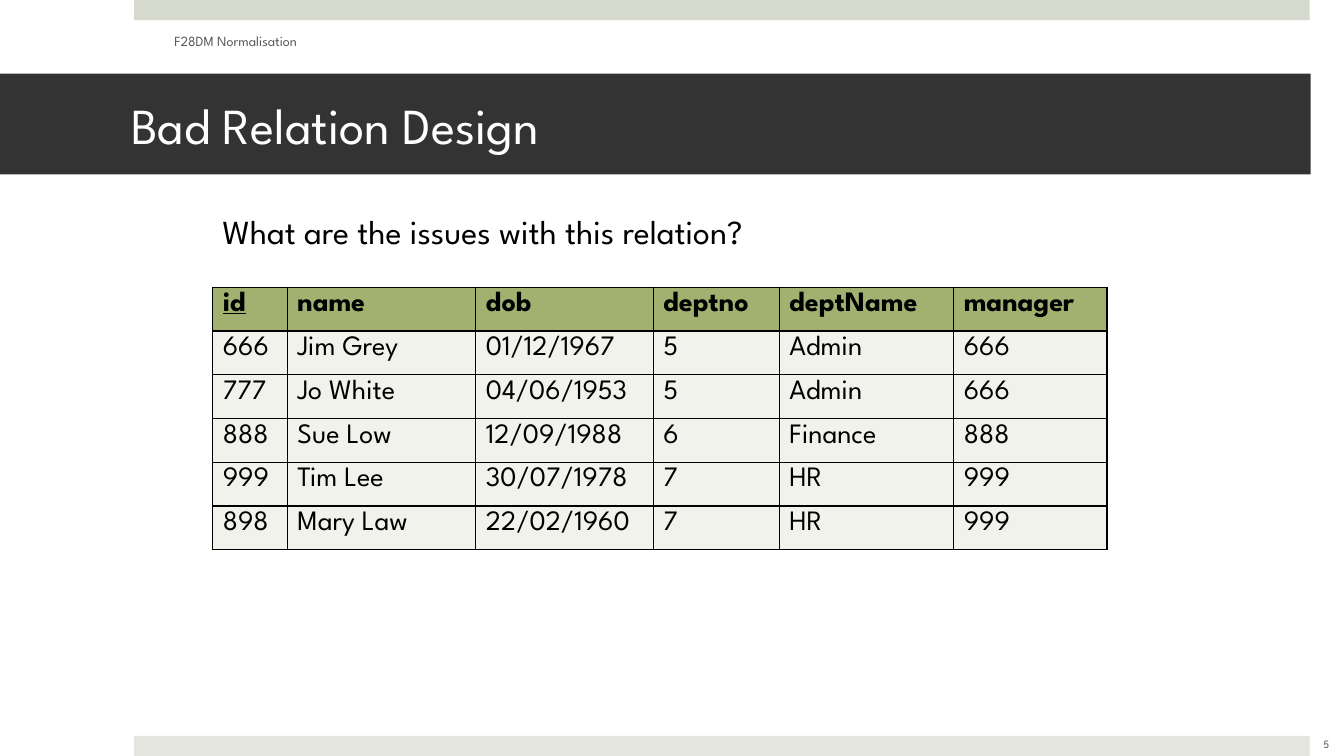
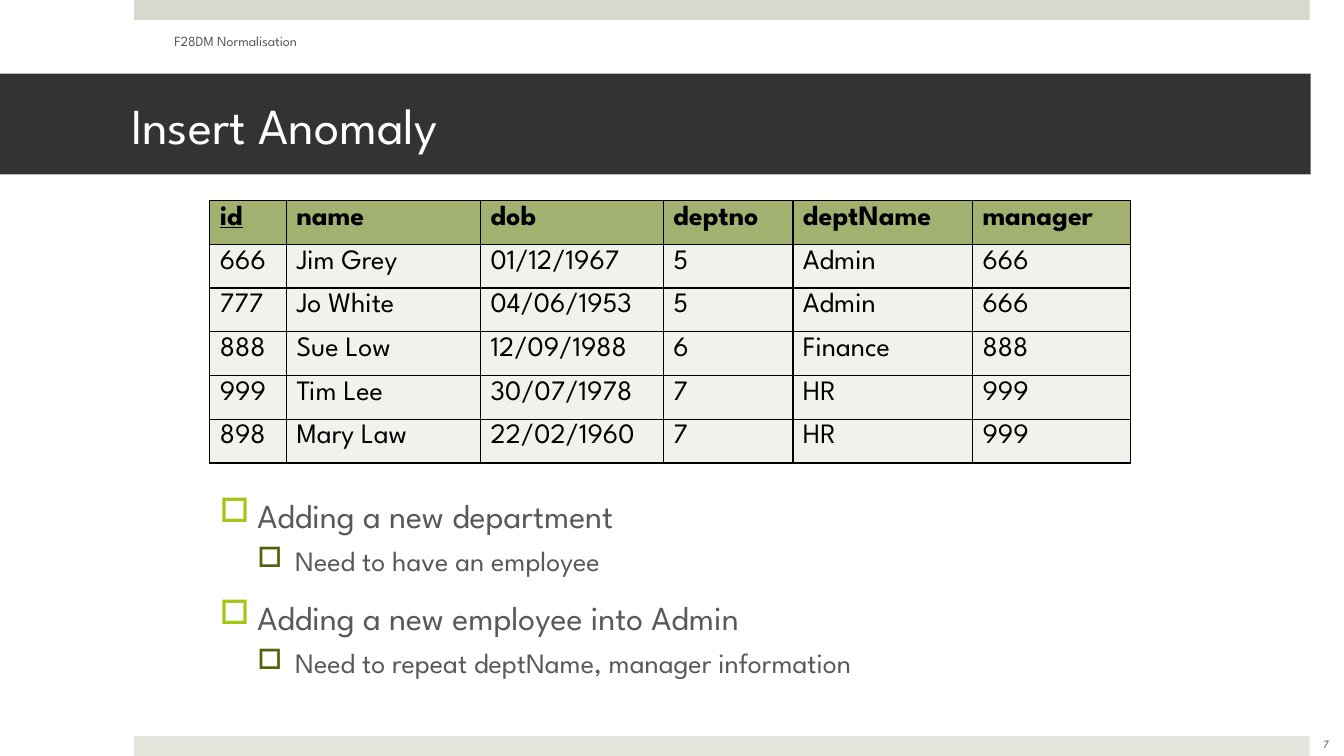
from lxml import etree
from pptx import Presentation
from pptx.dml.color import RGBColor
from pptx.enum import shapes, text
from pptx.oxml.ns import qn
from pptx.util import Inches, Pt

FONT = "League Spartan"
BLACK, WHITE, GREY, DARK = "000000", "FFFFFF", "595959", "333333"
TOP, FOOT = "D6D9CD", "E4E6DE"
HEAD, BODY = "A2B170", "F0F2EB"

COURSE = "F28DM Normalisation"
STAFF = [
    ("id", "name", "dob", "deptno", "deptName", "manager"),
    ("666", "Jim Grey", "01/12/1967", "5", "Admin", "666"),
    ("777", "Jo White", "04/06/1953", "5", "Admin", "666"),
    ("888", "Sue Low", "12/09/1988", "6", "Finance", "888"),
    ("999", "Tim Lee", "30/07/1978", "7", "HR", "999"),
    ("898", "Mary Law", "22/02/1960", "7", "HR", "999"),
]
COLS = (0.74, 1.87, 1.76, 1.25, 1.73, 1.52)
ROW = 0.41
QUESTION = "What are the issues with this relation?"
POINTS = [
    (0, "Adding a new department"),
    (1, "Need to have an employee"),
    (0, "Adding a new employee into Admin"),
    (1, "Need to repeat deptName, manager information"),
]
# size, space before, bullet colour for each level
LEVELS = [(24, 14, "A2C816"), (20, 6, "51640B")]
INDENT = 0.375


def rgb(code):
    return RGBColor.from_string(code)


def style(para, size, color, bold=False, line=False):
    for run in para.runs:
        font = run.font
        font.name, font.size, font.color.rgb = FONT, Pt(size), rgb(color)
        font.bold, font.underline = bold, line


def band(slide, box, color):
    shape = slide.shapes.add_shape(
        shapes.MSO_SHAPE.RECTANGLE, *map(Inches, box))
    shape.shadow.inherit = False
    shape.fill.solid()
    shape.fill.fore_color.rgb = rgb(color)
    shape.line.fill.background()
    return shape


def label(slide, box, words, size, color, middle=True):
    frame = slide.shapes.add_textbox(*map(Inches, box)).text_frame
    frame.word_wrap = True
    if middle:
        frame.vertical_anchor = text.MSO_ANCHOR.MIDDLE
    para = frame.paragraphs[0]
    para.text = words
    style(para, size, color)
    return para


def base(deck, title, number):
    """Add a slide with the bands, title, course name and page number."""
    slide = deck.slides.add_slide(deck.slide_layouts[6])
    band(slide, (1.33, 0, 11.66, 0.2), TOP)
    band(slide, (1.33, 7.3, 11.66, 0.2), FOOT)
    frame = band(slide, (0, 0.73, 13, 1), DARK).text_frame
    frame.margin_left, frame.margin_right = Inches(1.3), Inches(0.3)
    frame.vertical_anchor = text.MSO_ANCHOR.MIDDLE
    para = frame.paragraphs[0]
    para.text = title
    para.alignment = text.PP_ALIGN.LEFT
    style(para, 36, WHITE)
    label(slide, (1.63, 0.21, 4.22, 0.4), COURSE, 10, GREY)
    page = label(slide, (12.82, 7.18, 0.67, 0.4), str(number), 8, GREY)
    page.alignment = text.PP_ALIGN.CENTER
    return slide


def border(cell):
    props = cell._tc.get_or_add_tcPr()
    for side in ("lnL", "lnR", "lnT", "lnB"):
        line = etree.SubElement(props, qn("a:" + side), w=str(Pt(1)))
        fill = etree.SubElement(line, qn("a:solidFill"))
        etree.SubElement(fill, qn("a:srgbClr"), val=BLACK)


def grid(slide, left, top, width):
    """Draw the staff relation, its columns scaled to the width."""
    table = slide.shapes.add_table(
        len(STAFF), len(COLS),
        *map(Inches, (left, top, width, ROW * len(STAFF)))).table
    for col, share in zip(table.columns, COLS):
        col.width = Inches(share * width / sum(COLS))
    for r, row in enumerate(STAFF):
        table.rows[r].height = Inches(ROW)
        for c, words in enumerate(row):
            cell = table.cell(r, c)
            border(cell)
            cell.fill.solid()
            cell.fill.fore_color.rgb = rgb(BODY if r else HEAD)
            cell.text = words
            style(cell.text_frame.paragraphs[0], 20, BLACK,
                  bold=r == 0, line=r == c == 0)


def bullet(para, level, color):
    props = para._p.get_or_add_pPr()
    props.set("marL", str(Inches(INDENT * (level + 1))))
    props.set("indent", str(-Inches(INDENT)))
    tint = etree.SubElement(props, qn("a:buClr"))
    etree.SubElement(tint, qn("a:srgbClr"), val=color)
    etree.SubElement(props, qn("a:buChar"), char="□")


def points(slide, box):
    frame = slide.shapes.add_textbox(*map(Inches, box)).text_frame
    frame.word_wrap = True
    for i, (level, words) in enumerate(POINTS):
        para = frame.add_paragraph() if i else frame.paragraphs[0]
        size, gap, color = LEVELS[level]
        para.text, para.level = words, level
        para.space_before = Pt(gap)
        bullet(para, level, color)
        style(para, size, GREY)


def main():
    deck = Presentation()
    deck.slide_width, deck.slide_height = Inches(13.33), Inches(7.5)

    design = base(deck, "Bad Relation Design", 5)
    grid(design, 2.11, 2.85, 8.87)
    label(design, (2.11, 2.04, 6.21, 0.5), QUESTION, 24, BLACK, middle=False)

    insert = base(deck, "Insert Anomaly", 7)
    grid(insert, 2.08, 1.99, 9.13)
    points(insert, (2.08, 4.86, 9.13, 2.32))

    deck.save("out.pptx")


if __name__ == "__main__":
    main()
